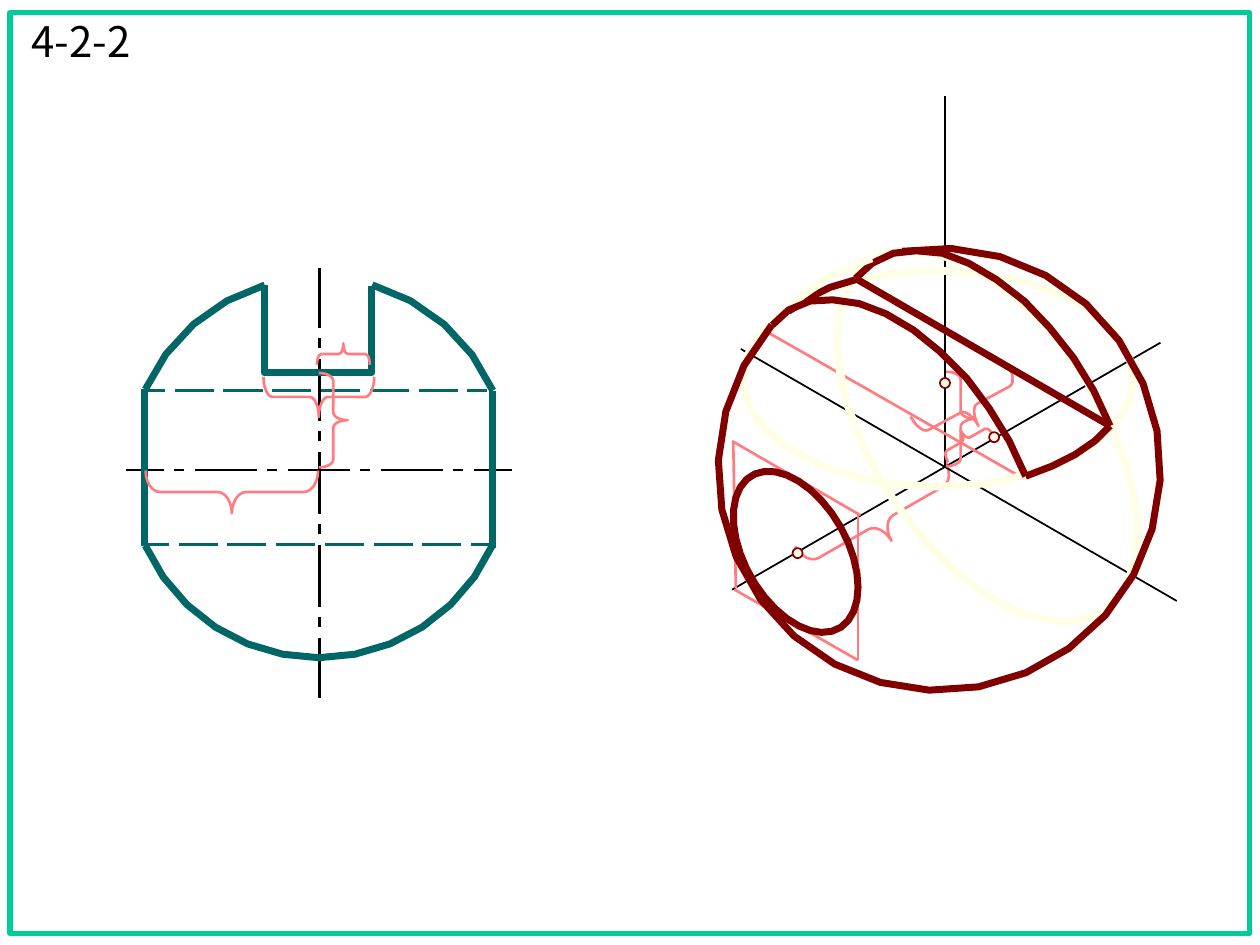
from math import cos, radians, sin

from lxml import etree
from pptx import Presentation
from pptx.dml.color import RGBColor
from pptx.enum.shapes import MSO_CONNECTOR, MSO_SHAPE
from pptx.enum.text import MSO_ANCHOR
from pptx.oxml.ns import qn
from pptx.util import Cm, Pt

STRAIGHT = MSO_CONNECTOR.STRAIGHT
OVAL, RECT, BRACE = MSO_SHAPE.OVAL, MSO_SHAPE.RECTANGLE, MSO_SHAPE.RIGHT_BRACE
MIDDLE = MSO_ANCHOR.MIDDLE

BLACK = RGBColor(0x00, 0x00, 0x00)
GREEN = RGBColor(0x00, 0xCC, 0x99)
TEAL = RGBColor(0x00, 0x66, 0x66)
PINK = RGBColor(0xFF, 0x7C, 0x80)
MAROON = RGBColor(0x80, 0x00, 0x00)
CREAM = RGBColor(0xFF, 0xFF, 0xE7)

# Front view: centre and radius of the outline
FRONT, FRONT_R = (2.53, 3.71), 1.51
# Pictorial view: centre and radius of the sphere
SPHERE, SPHERE_R = (7.455, 3.725), 1.755

# left, top, width, height, rotation
LENGTH_BRACES = [(1.67, 3.22, 0.34, 1.37, 90), (6.82, 3.46, 0.34, 1.37, 60.2)]
SLOT_BRACES = [
    (2.53, 2.96, 0.23, 0.75, 0), (7.51, 2.95, 0.23, 0.75, 0),
    (2.64, 2.6, 0.17, 0.42, 270), (7.58, 3.28, 0.17, 0.42, 240.3),
    (2.37, 2.71, 0.32, 0.88, 90), (7.53, 2.8, 0.32, 0.88, 61.8),
]
ISO_AXES = [(5.81, 4.68, 9.21, 2.72), (9.34, 4.77, 5.88, 2.77), (7.5, 3.71, 7.5, 0.76)]
HOLE_FRAME = [(6.81, 5.24, 6.81, 4.07), (5.84, 4.67, 5.82, 3.51),
              (6.81, 5.24, 5.83, 4.68), (6.83, 4.09, 5.81, 3.5)]
NODES = [(6.33, 4.39), (7.5, 3.04), (7.89, 3.47)]

BACK_RIM = [(8.81, 3.38), (8.68, 3.1), (8.52, 2.84), (8.33, 2.6), (8.13, 2.39), (7.91, 2.22),
            (7.69, 2.09), (7.48, 2.01), (7.27, 1.99), (7.09, 2.01), (6.92, 2.09), (6.79, 2.21)]
FRONT_RIM = [(8.14, 3.78), (8.01, 3.5), (7.85, 3.24), (7.67, 3), (7.46, 2.79), (7.25, 2.62),
             (7.03, 2.49), (6.82, 2.41), (6.61, 2.38), (6.43, 2.39), (6.26, 2.46), (6.13, 2.58)]
FLOOR_RIGHT = [(8.14, 3.78), (8.35, 3.7), (8.53, 3.61), (8.69, 3.5), (8.81, 3.38)]
FLOOR_LEFT = [(6.79, 2.22), (6.59, 2.28), (6.41, 2.37), (6.26, 2.47)]
CUT_GAP = [(6.27, 2.45), (6.36, 2.35), (6.49, 2.26), (6.59, 2.19),
           (6.72, 2.14), (6.84, 2.08), (6.92, 2.05)]


def size(inches):
    return Cm(inches * 2.54)


def style(sp, color, width, fill=None):
    sp.shadow.inherit = False
    if fill is None:
        sp.fill.background()
    else:
        sp.fill.solid()
        sp.fill.fore_color.rgb = fill
    sp.line.color.rgb = color
    sp.line.width = Pt(width)


def add_preset(s, kind, box, color, width, fill=None, rotation=0):
    sp = s.shapes.add_shape(kind, *map(size, box))
    style(sp, color, width, fill)
    sp.rotation = rotation
    return sp


def add_line(s, x1, y1, x2, y2, color, width):
    line = s.shapes.add_connector(STRAIGHT, *map(size, (x1, y1, x2, y2)))
    line.line.color.rgb = color
    line.line.width = Pt(width)
    etree.SubElement(line._element.spPr, qn("a:effectLst"))


def add_polyline(s, points, color, width, close=False):
    pts = [(size(x), size(y)) for x, y in points]
    builder = s.shapes.build_freeform(*pts[0])
    builder.add_line_segments(pts[1:], close=close)
    style(builder.convert_to_shape(), color, width)


def add_brace(s, left, top, width, height, rotation):
    sp = add_preset(s, BRACE, (left, top, width, height), PINK, 1.5, rotation=rotation)
    sp.adjustments[0] = height / 12 / width


def add_dashes(s, start, fixed, lengths, gap, color, vertical=False):
    for length in lengths:
        end = start + length
        ends = (fixed, start, fixed, end) if vertical else (start, fixed, end, fixed)
        add_line(s, *ends, color, 1.5)
        start = end + gap


def arc(center, u, v, start, end, steps):
    """Points of an ellipse arc with the conjugate half-axes u and v."""
    angles = [radians(start + (end - start) * i / steps) for i in range(steps + 1)]
    return [(center[0] + u[0] * cos(a) + v[0] * sin(a),
             center[1] + u[1] * cos(a) + v[1] * sin(a)) for a in angles]


def circle_arc(center, r, start, end, steps):
    return arc(center, (r, 0), (0, r), start, end, steps)


def add_title(s, text):
    tf = s.shapes.add_textbox(*map(size, (0.15, 0.07, 9.67, 0.5))).text_frame
    for name, value in {"word_wrap": True, "vertical_anchor": MIDDLE}.items():
        setattr(tf, name, value)
    r = tf.paragraphs[0].add_run()
    r.text = text
    for name, value in {"name": "Noto Sans CJK SC", "size": Pt(24)}.items():
        setattr(r.font, name, value)
    r.font.color.rgb = BLACK


def draw_front_view(s):
    # Centre lines
    middle = [0.08, 0.49] * 3 + [0.08]
    add_dashes(s, 1, 3.73, [0.3] + middle + [0.3], 0.084, BLACK)
    add_dashes(s, 2.13, 2.535, [0.47] + middle + [0.48], 0.084, BLACK, vertical=True)
    # Outline with the slot
    add_line(s, 1.15, 3.09, 1.15, 4.33, TEAL, 4)
    add_line(s, 3.91, 3.1, 3.91, 4.35, TEAL, 4)
    add_polyline(s, [(2.95, 2.27), (2.95, 2.96), (2.1, 2.96), (2.1, 2.26)], TEAL, 4)
    for start, end, steps in [(253.5, 204.2, 4), (155.8, 24.2, 12), (336.2, 286.3, 4)]:
        add_polyline(s, circle_arc(FRONT, FRONT_R, start, end, steps), TEAL, 4)
    # Hidden edges of the hole
    for y, end in [(3.1, 0.16), (4.32, 0.19)]:
        add_dashes(s, 1.15, y, [end] + [0.31] * 6 + [end], 0.077, TEAL)


def draw_construction(s):
    for brace in LENGTH_BRACES:
        add_brace(s, *brace)
    for axis in ISO_AXES:
        add_line(s, *axis, BLACK, 1)
    # Hole in its frame
    for edge in HOLE_FRAME:
        add_line(s, *edge, PINK, 1.5)
    hole = arc((6.315, 4.38), (0.495, 0.28), (0, 0.575), 0, 360, 33)
    add_polyline(s, hole[:-1], MAROON, 4, close=True)
    # Slot dimensions and the points they lead to
    for brace in SLOT_BRACES:
        add_brace(s, *brace)
    for x, y in NODES:
        add_preset(s, OVAL, (x - 0.04, y - 0.04, 0.08, 0.08), MAROON, 1, CREAM)
    add_line(s, 8.11, 3.79, 6.08, 2.63, PINK, 1.5)


def draw_sphere(s):
    # Great circles
    add_preset(s, OVAL, (6.17, 2.56, 3.33, 1.8), CREAM, 4.5, rotation=56.3)
    add_preset(s, OVAL, (5.9, 2.15, 3.09, 1.71), CREAM, 4.5)
    # Outline and slot
    add_polyline(s, circle_arc(SPHERE, SPHERE_R, 220.8, -99.7, 25), MAROON, 4)
    for points in (BACK_RIM, FLOOR_RIGHT, FLOOR_LEFT):
        add_polyline(s, points, MAROON, 4)
    add_line(s, 8.81, 3.38, 6.79, 2.21, MAROON, 4)
    add_polyline(s, CUT_GAP, CREAM, 4.5)
    add_polyline(s, FRONT_RIM, MAROON, 4)


def main():
    prs = Presentation()
    prs.slide_width, prs.slide_height = Cm(25.4), Cm(19.05)
    s = prs.slides.add_slide(prs.slide_layouts[6])
    # Frame and title
    add_preset(s, RECT, (0.08, 0.1, 9.84, 7.31), GREEN, 3)
    add_title(s, "4-2-2")
    # Drawing
    draw_front_view(s)
    draw_construction(s)
    draw_sphere(s)
    prs.save("out.pptx")


if __name__ == "__main__":
    main()
